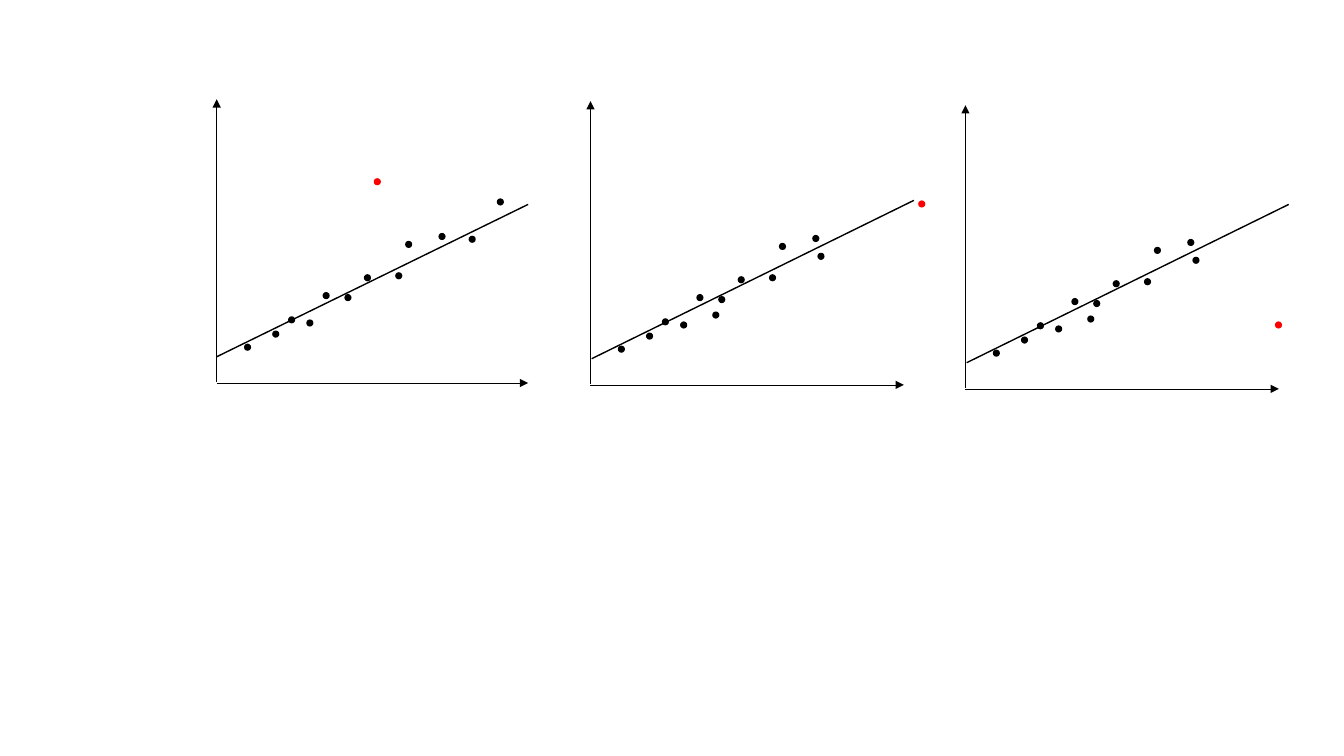
from dataclasses import dataclass

from lxml.etree import SubElement
from pptx import Presentation
from pptx.dml.color import RGBColor as Rgb
from pptx.enum.shapes import MSO_CONNECTOR as Link, MSO_SHAPE as Form
from pptx.oxml.ns import qn
from pptx.util import Cm, Pt


@dataclass(frozen=True)
class Theme:
    ink: Rgb = Rgb(0, 0, 0)
    alert: Rgb = Rgb(255, 0, 0)
    thin: float = 0.5
    bold: float = 1
    dot: float = 0.18


class Board:
    def __init__(self, slide, theme):
        self.slide = slide
        self.theme = theme

    def begin(self, left, base):
        self.group = self.slide.shapes.add_group_shape()
        self.left, self.base = left, base

    def place(self, x, y):
        return Cm(self.left + x), Cm(self.base - y)

    def line(self, start, end, width, arrow=False):
        link = self.group.shapes.add_connector(
            Link.STRAIGHT, *self.place(*start), *self.place(*end))
        link.line.color.rgb = self.theme.ink
        link.line.width = Pt(width)
        if arrow:
            SubElement(link.line._get_or_add_ln(), qn("a:tailEnd"), type="triangle")
        SubElement(link._element.spPr, qn("a:effectLst"))

    def dot(self, point, color):
        size = Cm(self.theme.dot)
        mark = self.group.shapes.add_shape(
            Form.OVAL, *self.place(*point), size, size)
        mark.shadow.inherit = False
        mark.fill.solid()
        mark.fill.fore_color.rgb = color
        mark.line.fill.background()

    def plot(self, left, base, width, trend, dots, odd):
        look = self.theme
        self.begin(left, base)
        self.line((0, 0.03), (0, 7.15), look.thin, arrow=True)
        self.line((0, 0), (width, 0), look.thin, arrow=True)
        for point in dots:
            self.dot(point, look.ink)
        self.line(*trend, look.bold)
        self.dot(odd, look.alert)


SHARED = [(0.69, 0.99), (1.4, 1.32), (1.8, 1.68), (2.26, 1.6), (2.67, 2.29),
          (3.22, 2.24), (4.75, 3.58), (4.5, 2.79), (5.59, 3.78), (3.71, 2.74)]
FIRST = SHARED + [(6.35, 3.71), (7.06, 4.65)]
OTHER = SHARED + [(5.72, 3.33), (3.07, 1.85)]
SHORT = ((0, 0.66), (7.85, 4.5))
LONG = ((0.03, 0.66), (8.15, 4.65))

PLOTS = [
    (5.46, 9.65, 7.85, SHORT, FIRST, (3.96, 5.16)),
    (14.88, 9.7, 7.9, LONG, OTHER, (8.26, 4.65)),
    (24.33, 9.8, 7.9, LONG, OTHER, (7.8, 1.7)),
]


def main():
    deck = Presentation()
    deck.slide_width, deck.slide_height = Cm(33.87), Cm(19.05)
    blank = deck.slide_layouts[6]
    board = Board(deck.slides.add_slide(blank), Theme())
    for plot in PLOTS:
        board.plot(*plot)
    deck.save("out.pptx")


if __name__ == "__main__":
    main()
